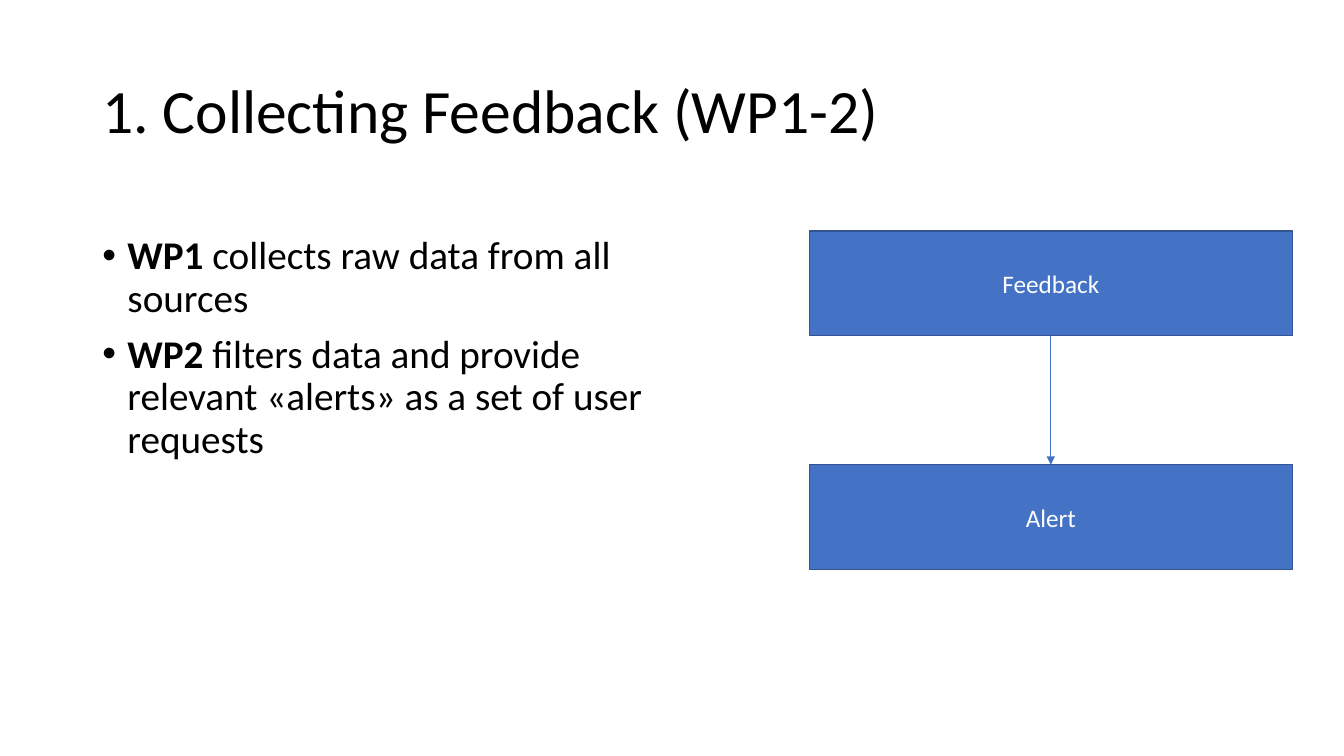
from dataclasses import dataclass
from lxml.etree import SubElement
from pptx import Presentation
from pptx.dml.color import RGBColor
from pptx.enum.shapes import MSO_CONNECTOR, MSO_SHAPE
from pptx.enum.text import MSO_ANCHOR, PP_ALIGN
from pptx.oxml.ns import qn
from pptx.shapes.autoshape import Shape
from pptx.slide import Slide
from pptx.text.text import TextFrame, _Paragraph
from pptx.util import Pt

COLORS = {"text": "000000", "label": "FFFFFF", "fill": "4472C4", "edge": "325491"}
FONT = "Calibri"
LEFT, TOP = 66, 164.88


@dataclass
class Bullet:
    lead: str
    rest: str


@dataclass
class Box:
    label: str
    top: float
    left: float = 578.16
    width: float = 344.88
    height: float = 74.88


BULLETS = [
    Bullet("WP1", " collects raw data from all sources"),
    Bullet("WP2", " filters data and provide relevant «alerts» as a set of user requests"),
]
BOXES = [Box("Feedback", TOP), Box("Alert", 331.92)]


def color(name: str) -> RGBColor:
    return RGBColor.from_string(COLORS[name])


def add_run(para: _Paragraph, text: str, size: float, tint: str = "text", bold: bool = False) -> None:
    run = para.add_run()
    run.text = text
    run.font.name = FONT
    run.font.size = Pt(size)
    run.font.bold = bold
    run.font.color.rgb = color(tint)


def add_text(slide: Slide, top: float, width: float, height: float, anchor: MSO_ANCHOR) -> TextFrame:
    frame = slide.shapes.add_textbox(Pt(LEFT), Pt(top), Pt(width), Pt(height)).text_frame
    frame.word_wrap = True
    frame.vertical_anchor = anchor
    return frame


def draw_title(slide: Slide, text: str) -> None:
    para = add_text(slide, 28.8, 828, 104.4, MSO_ANCHOR.MIDDLE).paragraphs[0]
    para.line_spacing = 0.9
    add_run(para, text, 44)


def draw_list(slide: Slide, items: list[Bullet]) -> None:
    frame = add_text(slide, TOP, 451.44, 321.84, MSO_ANCHOR.TOP)
    for i, item in enumerate(items):
        para = frame.add_paragraph() if i else frame.paragraphs[0]
        para.line_spacing = 0.9
        para.space_before = Pt(10)
        props = para._p.get_or_add_pPr()
        props.set("marL", str(Pt(18)))
        props.set("indent", str(Pt(-18)))
        SubElement(props, qn("a:buFont"), typeface="Arial")
        SubElement(props, qn("a:buChar"), char="•")
        add_run(para, item.lead, 28, bold=True)
        add_run(para, item.rest, 28)


def draw_box(slide: Slide, box: Box) -> Shape:
    shape = slide.shapes.add_shape(
        MSO_SHAPE.RECTANGLE, Pt(box.left), Pt(box.top), Pt(box.width), Pt(box.height))
    shape.shadow.inherit = False
    shape.fill.solid()
    shape.fill.fore_color.rgb = color("fill")
    shape.line.color.rgb = color("edge")
    shape.line.width = Pt(1)
    frame = shape.text_frame
    frame.word_wrap = True
    frame.vertical_anchor = MSO_ANCHOR.MIDDLE
    para = frame.paragraphs[0]
    para.alignment = PP_ALIGN.CENTER
    add_run(para, box.label, 18, "label")
    return shape


def draw_arrow(slide: Slide, start: Shape, end: Shape) -> None:
    arrow = slide.shapes.add_connector(MSO_CONNECTOR.STRAIGHT, 0, 0, 0, 0)
    arrow.begin_connect(start, 2)
    arrow.end_connect(end, 0)
    arrow.line.color.rgb = color("fill")
    arrow.line.width = Pt(0.5)
    SubElement(arrow.line._get_or_add_ln(), qn("a:tailEnd"), type="triangle")
    SubElement(arrow._element.spPr, qn("a:effectLst"))


def main() -> None:
    """Build the feedback slide and save it."""
    deck = Presentation()
    deck.slide_width, deck.slide_height = Pt(960), Pt(540)
    slide = deck.slides.add_slide(deck.slide_layouts[6])
    draw_title(slide, "1. Collecting Feedback (WP1-2)")
    draw_list(slide, BULLETS)
    first, last = [draw_box(slide, box) for box in BOXES]
    draw_arrow(slide, first, last)
    deck.save("out.pptx")


if __name__ == "__main__":
    main()
